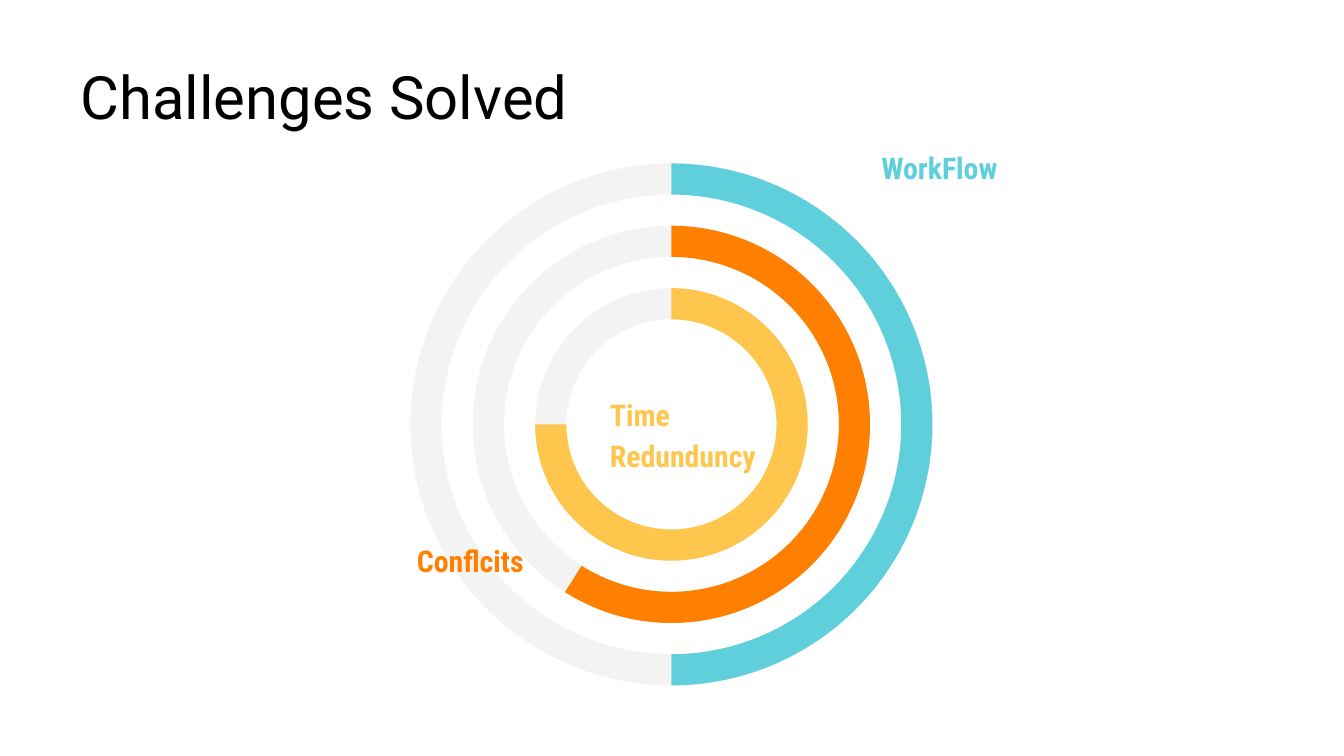
from dataclasses import dataclass

from pptx import Presentation
from pptx.dml.color import RGBColor
from pptx.enum.shapes import MSO_SHAPE
from pptx.enum.text import MSO_ANCHOR, PP_ALIGN
from pptx.util import Inches, Pt

DONUT, ARC = MSO_SHAPE.DONUT, MSO_SHAPE.BLOCK_ARC
LEFT, RIGHT = PP_ALIGN.LEFT, PP_ALIGN.RIGHT
MIDDLE, TOP = MSO_ANCHOR.MIDDLE, MSO_ANCHOR.TOP

WIDTH = Inches(10)
HEIGHT = WIDTH * 9 // 16
UNIT = WIDTH / 100  # square grid: 100 columns, about 56 rows

CENTER = (49.96, 31.58)
OUTER_RADIUS = 19.42
BAND = 2.32
RING_STEP = 2 * BAND  # the gap between rings equals the band
LABEL_SIZE = (14.3, 4.2)
TITLE_BOX = (5, 4.5, 90, 5.3)


@dataclass(frozen=True)
class Theme:
    title_font: str = "Roboto"
    label_font: str = "Roboto Condensed"
    title_size: int = 32
    label_size: int = 16
    title: str = "000000"
    track: str = "F3F3F3"
    teal: str = "5FD0DB"
    orange: str = "FF8001"
    yellow: str = "FFC64E"


@dataclass(frozen=True)
class Ring:
    label: str
    share: float
    color: str
    label_at: tuple[float, float]
    align: PP_ALIGN = LEFT


THEME = Theme()
RINGS = [
    Ring("WorkFlow", 0.5, THEME.teal, (60.9, 9.75), RIGHT),
    Ring("Conflcits", 0.59, THEME.orange, (30.04, 39)),
    Ring("Time Redunduncy", 0.75, THEME.yellow, (44.4, 28.1)),
]


def grid(*cells: float) -> list[int]:
    return [round(c * UNIT) for c in cells]


def write(tf, text: str, *, font: str, size: int, color: str, bold=False,
          align=LEFT, anchor=TOP, spacing=None, after=None) -> None:
    tf.word_wrap = True
    tf.vertical_anchor = anchor
    tf.margin_left = tf.margin_right = Inches(0.1)
    tf.margin_top = tf.margin_bottom = Inches(0.1)
    p = tf.paragraphs[0]
    p.alignment = align
    if spacing is not None:
        p.line_spacing = spacing
    if after is not None:
        p.space_after = Pt(after)
    r = p.add_run()
    r.text = text
    r.font.name, r.font.size, r.font.bold = font, Pt(size), bold
    r.font.color.rgb = RGBColor.from_string(color)


def add_band(s, kind: MSO_SHAPE, radius: float, color: str, adjustments: list[float]) -> None:
    cx, cy = CENTER
    sp = s.shapes.add_shape(kind, *grid(cx - radius, cy - radius, 2 * radius, 2 * radius))
    sp.shadow.inherit = False
    sp.fill.solid()
    sp.fill.fore_color.rgb = RGBColor.from_string(color)
    sp.line.fill.background()
    for i, value in enumerate(adjustments):
        sp.adjustments[i] = value


def arc_angle(share: float) -> float:
    """Angle adjustment for a share of the circle, clockwise from the top."""
    return (share * 360 - 90) % 360 * 0.6


def add_title(s, text: str) -> None:
    title = s.shapes.title
    title.left, title.top, title.width, title.height = grid(*TITLE_BOX)
    write(title.text_frame, text, font=THEME.title_font, size=THEME.title_size,
          color=THEME.title, anchor=MIDDLE)


def add_label(s, ring: Ring) -> None:
    box = s.shapes.add_textbox(*grid(*ring.label_at, *LABEL_SIZE))
    write(box.text_frame, ring.label, font=THEME.label_font, size=THEME.label_size,
          color=ring.color, bold=True, align=ring.align, spacing=1.15, after=16)


def main() -> None:
    prs = Presentation()
    prs.slide_width, prs.slide_height = WIDTH, HEIGHT
    s = prs.slides.add_slide(prs.slide_layouts[5])
    add_title(s, "Challenges Solved")

    radii = [OUTER_RADIUS - i * RING_STEP for i in range(len(RINGS))]
    for radius in radii:
        add_band(s, DONUT, radius, THEME.track, [BAND / (2 * radius)])
    for ring in reversed(RINGS):
        add_label(s, ring)
    for ring, radius in zip(RINGS, radii):
        add_band(s, ARC, radius, ring.color,
                 [arc_angle(0), arc_angle(ring.share), BAND / (2 * radius)])

    prs.save("out.pptx")


if __name__ == "__main__":
    main()
